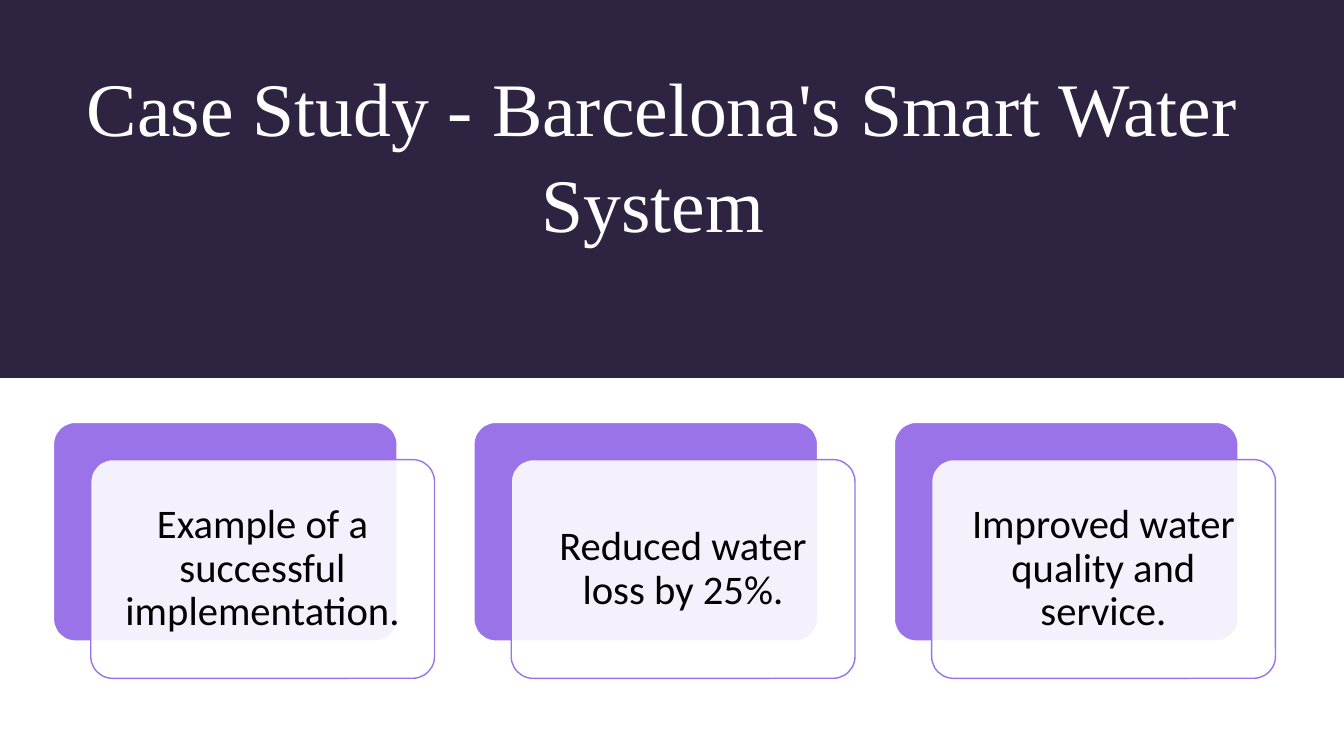
import dataclasses

import pptx
import pptx.dml.color
import pptx.enum.shapes
import pptx.enum.text
import pptx.oxml.ns
import pptx.util
from lxml import etree

Inches = pptx.util.Inches
Pt = pptx.util.Pt
RGB = pptx.dml.color.RGBColor
MSO_SHAPE = pptx.enum.shapes.MSO_SHAPE
MSO_ANCHOR = pptx.enum.text.MSO_ANCHOR


@dataclasses.dataclass(frozen=True)
class Theme:
    dark: str = "2E2441"
    accent: str = "9B73E9"
    light: str = "FFFFFF"
    ink: str = "000000"
    title_font: str = "Times New Roman"
    body_font: str = "Calibri"
    title_size: float = 54
    body_size: float = 29


class SlideBuilder:
    def __init__(self, prs, theme):
        self.theme = theme
        self.slide = prs.slides.add_slide(prs.slide_layouts[5])
        bg = self.slide.background.fill
        bg.solid()
        bg.fore_color.rgb = RGB.from_string(theme.light)

    def shape(self, kind, box, fill, line=None, opacity=100):
        sp = self.slide.shapes.add_shape(kind, *map(Inches, box))
        sp.shadow.inherit = False
        sp.fill.solid()
        sp.fill.fore_color.rgb = RGB.from_string(fill)
        if opacity < 100:
            clr = sp.element.spPr.find(".//" + pptx.oxml.ns.qn("a:srgbClr"))
            etree.SubElement(clr, pptx.oxml.ns.qn("a:alpha"), val=str(opacity * 1000))
        if line:
            sp.line.color.rgb = RGB.from_string(line)
            sp.line.width = Pt(1)
        else:
            sp.line.fill.background()
        return sp

    def text(self, sp, text, font, size, color, anchor, spacing, margins):
        tf = sp.text_frame
        tf.text = text
        tf.word_wrap = True
        tf.auto_size = pptx.enum.text.MSO_AUTO_SIZE.NONE
        tf.vertical_anchor = anchor
        tf.margin_left, tf.margin_top, tf.margin_right, tf.margin_bottom = map(Inches, margins)
        p = tf.paragraphs[0]
        p.alignment = pptx.enum.text.PP_ALIGN.CENTER
        p.line_spacing = spacing
        f = p.runs[0].font
        f.name, f.size = font, Pt(size)
        f.color.rgb = RGB.from_string(color)

    def title(self, text, box):
        t = self.theme
        sp = self.slide.shapes.title
        sp.left, sp.top, sp.width, sp.height = map(Inches, box)
        self.slide.shapes.element.append(sp.element)
        self.text(sp, text, t.title_font, t.title_size, t.light,
                  MSO_ANCHOR.BOTTOM, 1.06, (0.1, 0.05, 0.1, 0.93))

    def card(self, text, left, top, width, height, offset):
        t = self.theme
        back = self.shape(MSO_SHAPE.ROUNDED_RECTANGLE, (left, top, width, height),
                          t.accent, t.light)
        front = self.shape(MSO_SHAPE.ROUNDED_RECTANGLE,
                           (left + offset, top + offset, width, height),
                           t.light, t.accent, opacity=90)
        for sp in (back, front):
            sp.adjustments[0] = 0.1
        self.text(front, text, t.body_font, t.body_size, t.ink,
                  MSO_ANCHOR.MIDDLE, 0.9, (0.18,) * 4)


def main():
    prs = pptx.Presentation()
    prs.slide_width, prs.slide_height = Inches(13.33), Inches(7.5)
    s = SlideBuilder(prs, Theme())

    s.shape(MSO_SHAPE.RECTANGLE, (0, 0, 13.33, 3.75), s.theme.dark)
    s.title(" Case Study - Barcelona's Smart Water System", (0.53, 0.4, 11.89, 2.99))

    findings = (
        "Example of a successful implementation.",
        "Reduced water loss by 25%.",
        "Improved water quality and service.",
    )
    for i, finding in enumerate(findings):
        s.card(finding, 0.53 + i * 4.17, 4.19, 3.41, 2.17, 0.37)

    prs.save("out.pptx")


if __name__ == "__main__":
    main()
